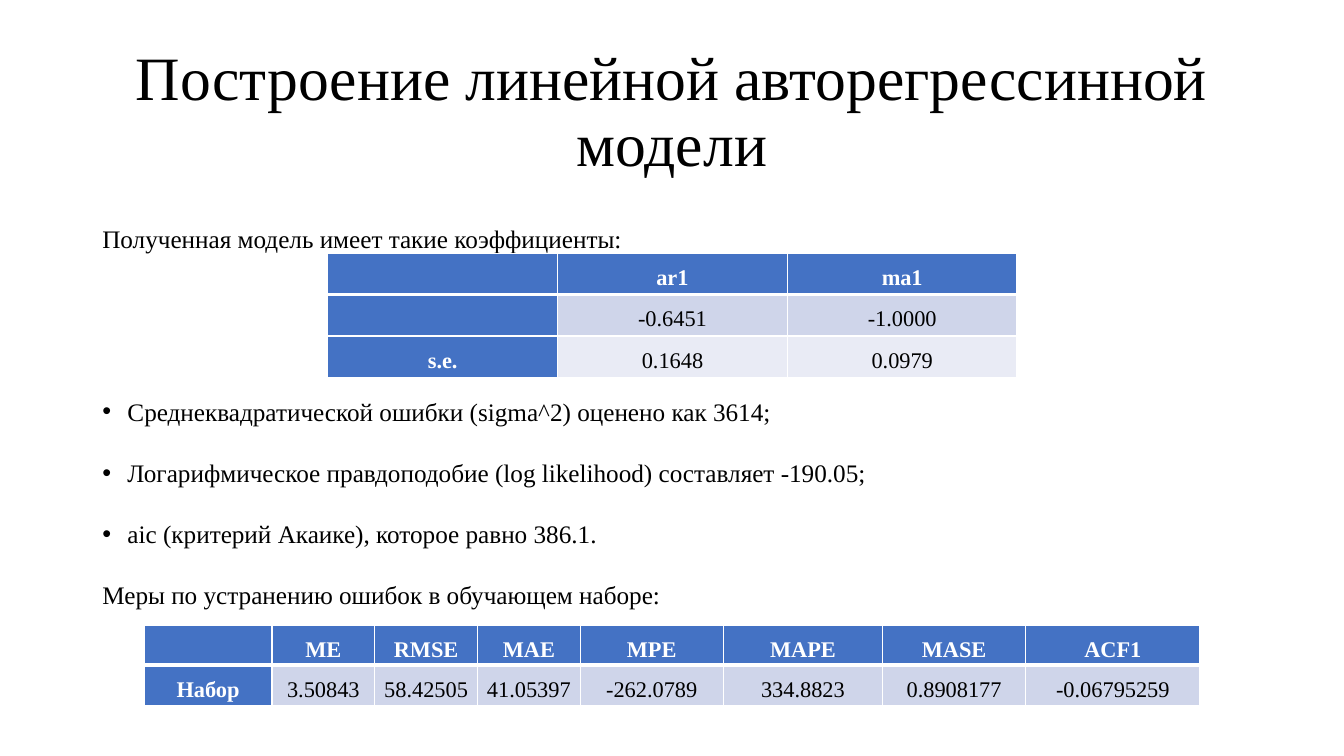
from lxml import etree
from pptx import Presentation
from pptx.dml.color import RGBColor
from pptx.enum.text import MSO_ANCHOR, PP_ALIGN
from pptx.oxml.ns import qn
from pptx.util import Pt

LEFT, CENTER = PP_ALIGN.LEFT, PP_ALIGN.CENTER
TOP, MIDDLE = MSO_ANCHOR.TOP, MSO_ANCHOR.MIDDLE
FONT = "Times New Roman"
COLORS = {
    "text": "000000",
    "white": "FFFFFF",
    "head": "4472C4",
    "odd": "CFD5EA",
    "even": "E9EBF5",
}

TITLE = "Построение линейной авторегрессинной модели"
INTRO = "Полученная модель имеет такие коэффициенты:"
FACTS = [
    "Среднеквадратической ошибки (sigma^2) оценено как 3614;",
    "Логарифмическое правдоподобие (log likelihood) составляет -190.05;",
    "aic (критерий Акаике), которое равно 386.1.",
]
OUTRO = "Меры по устранению ошибок в обучающем наборе:"
COEFFS = [
    ["", "ar1", "ma1"],
    ["", "-0.6451", "-1.0000"],
    ["s.e.", "0.1648", "0.0979"],
]
ERRORS = [
    ["", "ME", "RMSE", "MAE", "MPE", "MAPE", "MASE", "ACF1"],
    ["Набор", "3.50843", "58.42505", "41.05397", "-262.0789",
     "334.8823", "0.8908177", "-0.06795259"],
]


def color(name):
    return RGBColor.from_string(COLORS[name])


def style(para, size, tone="text", bold=False, align=LEFT, spacing=1.5):
    para.alignment = align
    para.line_spacing = spacing
    for run in para.runs:
        run.font.name = FONT
        run.font.size = Pt(size)
        run.font.bold = bold
        run.font.color.rgb = color(tone)


def add_bullet(para):
    props = para._p.get_or_add_pPr()
    props.set("marL", str(Pt(18)))
    props.set("indent", str(-Pt(18)))
    etree.SubElement(props, qn("a:buFont"), typeface="Arial")
    etree.SubElement(props, qn("a:buChar"), char="•")


def add_text(slide, lines, top, height, size, bullets=0, anchor=TOP, **look):
    """Stack lines in a box; the first few may carry bullets."""
    box = slide.shapes.add_textbox(Pt(66), Pt(top), Pt(828), Pt(height))
    frame = box.text_frame
    frame.word_wrap = True
    frame.vertical_anchor = anchor
    frame.text = "\n".join(lines)
    for i, para in enumerate(frame.paragraphs):
        if i < bullets:
            add_bullet(para)
        style(para, size, **look)
        if i:
            para.space_before = Pt(11.3)


def add_border(cell, side, width):
    line = etree.SubElement(cell._tc.get_or_add_tcPr(), qn("a:ln" + side),
                            w=str(Pt(width)))
    fill = etree.SubElement(line, qn("a:solidFill"))
    etree.SubElement(fill, qn("a:srgbClr"), val=COLORS["white"])


def fill_cell(cell, text, row, col):
    head = row == 0 or col == 0
    cell.text = text
    cell.margin_left = cell.margin_right = Pt(5)
    cell.margin_top = cell.margin_bottom = 0
    style(cell.text_frame.paragraphs[0], 16, "white" if head else "text",
          head, CENTER)
    # The rule under the header row is thicker
    for side in "LRTB":
        thick = (row, side) in ((0, "B"), (1, "T"))
        add_border(cell, side, 3 if thick else 1)
    cell.fill.solid()
    band = "odd" if row % 2 else "even"
    cell.fill.fore_color.rgb = color("head" if head else band)


def add_grid(slide, data, left, top, widths, height):
    frame = slide.shapes.add_table(len(data), len(widths), Pt(left), Pt(top),
                                   Pt(sum(widths)), Pt(height * len(data)))
    table = frame.table
    for col, width in zip(table.columns, widths):
        col.width = Pt(width)
    for r, values in enumerate(data):
        table.rows[r].height = Pt(height)
        for c, text in enumerate(values):
            fill_cell(table.cell(r, c), text, r, c)


def main():
    deck = Presentation()
    deck.slide_width, deck.slide_height = Pt(960), Pt(540)
    slide = deck.slides.add_slide(deck.slide_layouts[6])

    # Title and body text
    add_text(slide, [TITLE], 28.8, 104.4, 44, anchor=MIDDLE, align=CENTER,
             spacing=0.9)
    add_text(slide, [INTRO], 145, 36, 18)
    add_text(slide, FACTS + [OUTRO], 268.5, 170, 18, bullets=len(FACTS))

    # Model coefficients and training errors
    add_grid(slide, COEFFS, 234.2, 180.8, [164.1] * 3, 29.6)
    add_grid(slide, ERRORS, 102.9, 446.4,
             [91.4] + [73.4] * 3 + [102.2, 113.8, 102.2, 124.6], 25.2)

    deck.save("out.pptx")


if __name__ == "__main__":
    main()
